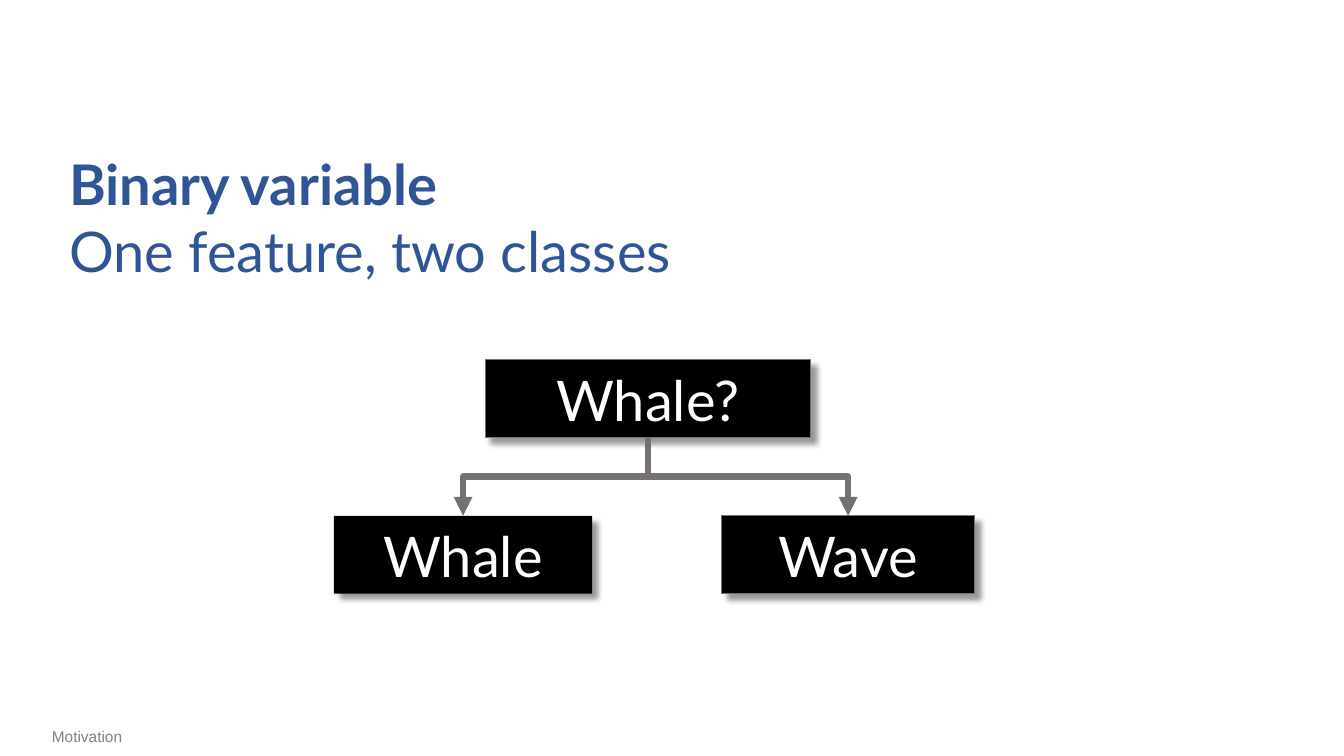
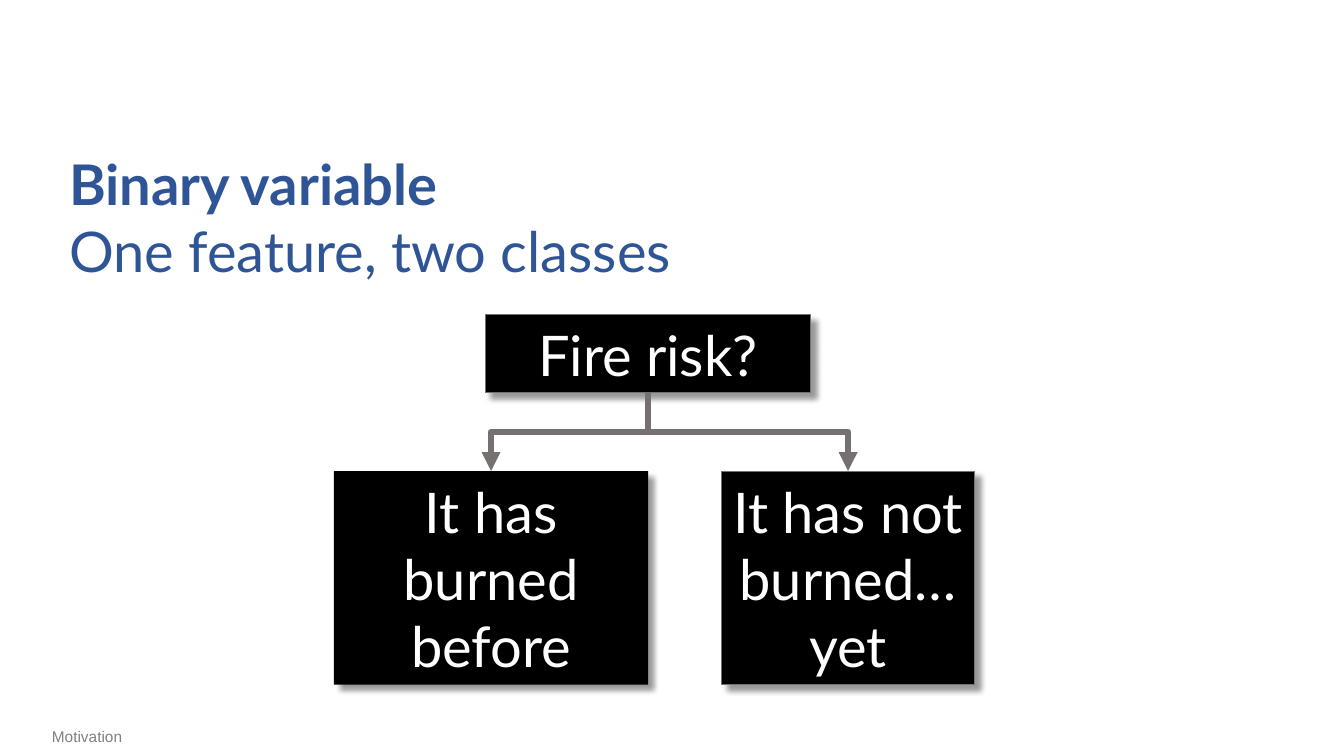
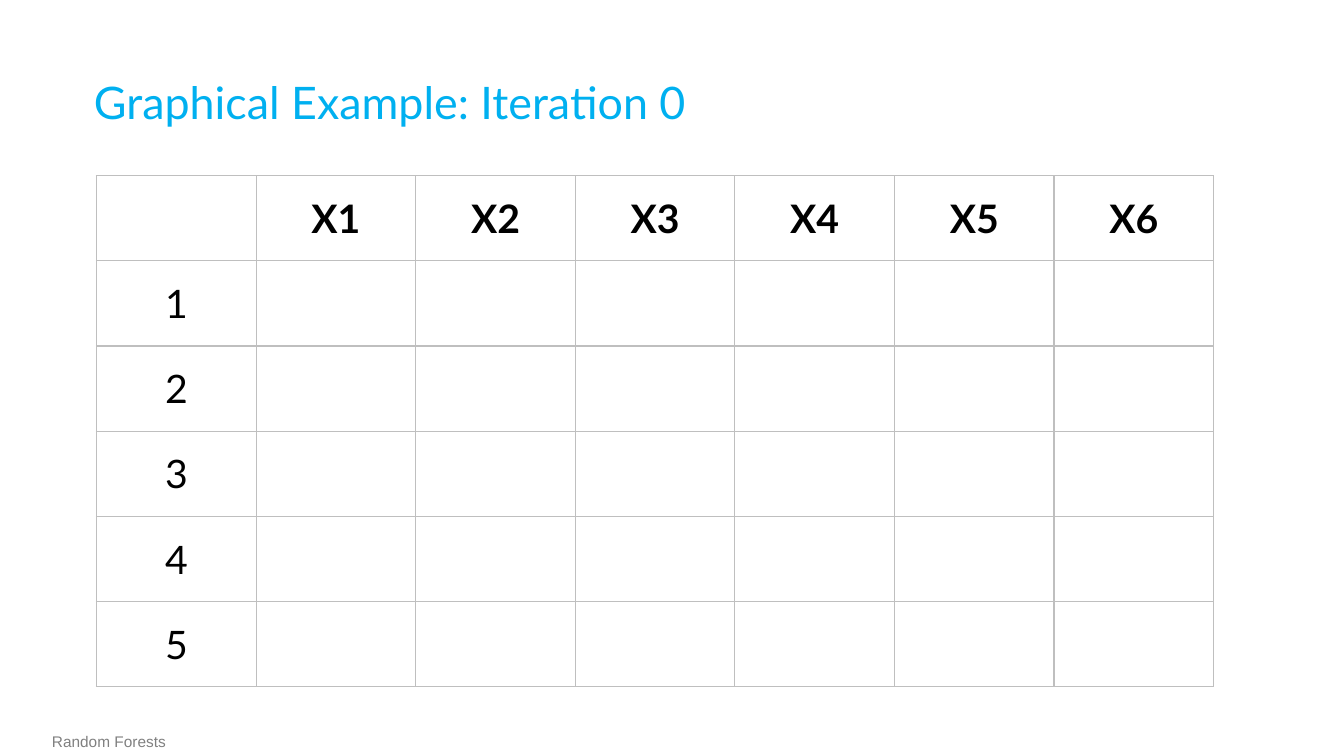
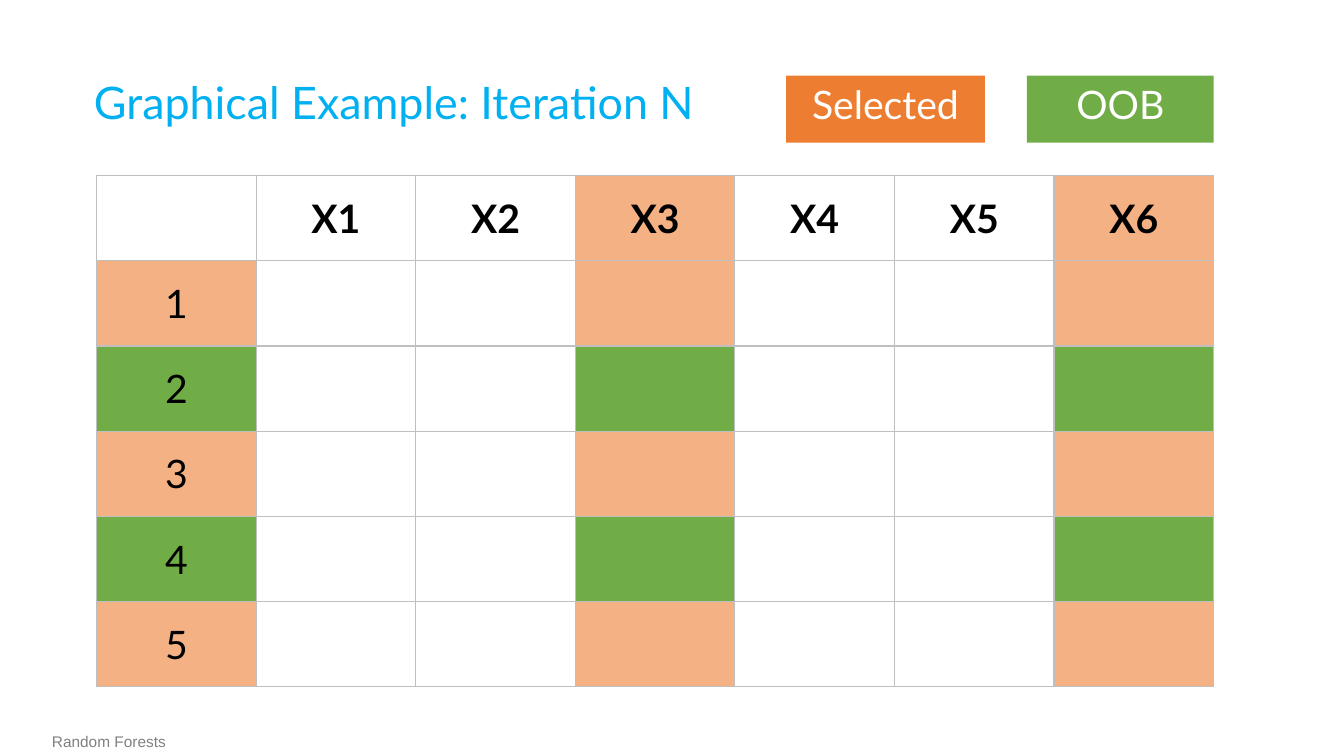
import lxml.etree
import pptx
import pptx.dml.color
import pptx.enum.dml
import pptx.enum.shapes
import pptx.enum.text
import pptx.oxml.ns
import pptx.util

Pt = pptx.util.Pt
qn = pptx.oxml.ns.qn
SubElement = lxml.etree.SubElement
RECTANGLE = pptx.enum.shapes.MSO_SHAPE.RECTANGLE
ELBOW = pptx.enum.shapes.MSO_CONNECTOR.ELBOW
LEFT = pptx.enum.text.PP_ALIGN.LEFT
CENTER = pptx.enum.text.PP_ALIGN.CENTER
MIDDLE = pptx.enum.text.MSO_ANCHOR.MIDDLE
TOP = pptx.enum.text.MSO_ANCHOR.TOP

BLACK = "000000"
WHITE = "FFFFFF"
GRAY = "767171"
FOOTER_GRAY = "808080"
GRID_GRAY = "BFBFBF"
NAVY = "2F5597"
SKY = "00B0F0"
ORANGE = "ED7D31"
PEACH = "F4B183"
GREEN = "70AD47"


def color(value):
    return pptx.dml.color.RGBColor.from_string(value)


def write(frame, text, size, ink, align=LEFT, font="Lato", bold_first=False):
    frame.word_wrap = True
    frame.text = text
    for index, paragraph in enumerate(frame.paragraphs):
        paragraph.alignment = align
        for span in paragraph.runs:
            span.font.name = font
            span.font.size = Pt(size)
            span.font.bold = bold_first and index == 0
            span.font.color.rgb = color(ink)


deck = pptx.Presentation()
deck.slide_width = Pt(960)
deck.slide_height = Pt(540)
blank = deck.slide_layouts[6]

pages = []
for footer, footer_top in [("Motivation", 516), ("Motivation", 516),
                           ("Random Forests", 519.5), ("Random Forests", 519.5)]:
    page = deck.slides.add_slide(blank)
    box = page.shapes.add_textbox(Pt(30), Pt(footer_top), Pt(163.5), Pt(20.5))
    write(box.text_frame, footer, 11, FOOTER_GRAY, font="Arial")
    pages.append(page)

root_height = 55.5
drop = 56
trees = [
    (257, "Whale?", 55.5, "Whale", 184.5, "Wave"),
    (225, "Fire risk?", 152.5, "It has burned before", 224.5, "It has not burned…yet"),
]
for page, tree in zip(pages[:2], trees):
    root_top, question, leaf_height, yes, yes_width, no = tree
    leaf_top = root_top + root_height + drop
    nodes = []
    for text, left, top, width, height, outlined in [
        (yes, 238.5, leaf_top, yes_width, leaf_height, False),
        (no, 515.5, leaf_top, 180.5, leaf_height, True),
        (question, 346.5, root_top, 232.5, root_height, True),
    ]:
        node = page.shapes.add_shape(RECTANGLE, Pt(left), Pt(top), Pt(width), Pt(height))
        node.fill.solid()
        node.fill.fore_color.rgb = color(BLACK)
        if outlined:
            node.line.color.rgb = color(GRAY)
            node.line.width = Pt(0.75)
        else:
            node.line.fill.background()
        node.shadow.inherit = False
        effects = node.element.spPr.find(qn("a:effectLst"))
        shadow = SubElement(effects, qn("a:outerShdw"), blurRad=str(Pt(4)), dist=str(Pt(6)),
                            dir="2700000", algn="tl", rotWithShape="0")
        shade = SubElement(shadow, qn("a:srgbClr"), val=BLACK)
        SubElement(shade, qn("a:alpha"), val="40000")
        write(node.text_frame, text, 40, WHITE, CENTER)
        nodes.append(node)

    root = nodes[2]
    start = root.left + root.width // 2
    for leaf in nodes[:2]:
        end = leaf.left + leaf.width // 2
        span_width = abs(end - start)
        arrow = page.shapes.add_connector(ELBOW, 0, 0, 0, 0)
        arrow.begin_connect(root, 2)
        arrow.end_connect(leaf, 0)
        arrow.width = Pt(drop)
        arrow.height = span_width
        arrow.left = (start + end - Pt(drop)) // 2
        arrow.top = Pt(root_top + root_height) + (Pt(drop) - span_width) // 2
        turn = arrow.element.spPr.find(qn("a:xfrm"))
        turn.set("rot", "5400000" if end < start else "16200000")
        turn.set("flipH", "0" if end < start else "1")
        arrow.line.color.rgb = color(GRAY)
        arrow.line.width = Pt(4.5)
        SubElement(arrow.element.spPr.find(qn("a:ln")), qn("a:tailEnd"), type="triangle")
        SubElement(arrow.element.spPr, qn("a:effectLst"))

    title = page.shapes.add_textbox(Pt(42.5), Pt(103), Pt(590.5), Pt(104.5))
    write(title.text_frame, "Binary variable\nOne feature, two classes", 40, NAVY, bold_first=True)

row_count, column_count = 6, 7
column_width, row_height = 114, 60.84
selected_columns = (3, 6)
oob_rows = (2, 4)
for page, iteration in zip(pages[2:], "0N"):
    title = page.shapes.add_textbox(Pt(60), Pt(49.5), Pt(807), Pt(46))
    write(title.text_frame, f"Graphical Example: Iteration {iteration}", 32, SKY)

    grid = page.shapes.add_table(row_count, column_count, Pt(69), Pt(125.5),
                                 Pt(column_count * column_width),
                                 Pt(row_count * row_height)).table
    grid.first_row = False
    grid.horz_banding = False
    for column in grid.columns:
        column.width = Pt(column_width)
    for row in grid.rows:
        row.height = Pt(row_height)
    for row in range(row_count):
        for column in range(column_count):
            cell = grid.cell(row, column)
            cell.vertical_anchor = MIDDLE
            if row == 0 and column > 0:
                write(cell.text_frame, f"X{column}", 28, BLACK, CENTER, bold_first=True)
            elif column == 0 and row > 0:
                write(cell.text_frame, str(row), 28, BLACK, CENTER)
            borders = cell._tc.get_or_add_tcPr()
            for side in ("a:lnL", "a:lnR", "a:lnT", "a:lnB"):
                edge = SubElement(borders, qn(side), w=str(Pt(1)))
                SubElement(SubElement(edge, qn("a:solidFill")), qn("a:srgbClr"), val=GRID_GRAY)
            marked = column in selected_columns or (column == 0 and row > 0)
            if iteration == "N" and marked:
                cell.fill.solid()
                cell.fill.fore_color.rgb = color(GREEN if row in oob_rows else PEACH)
            else:
                cell.fill.background()

for label, left, width, fill in [("Selected", 561.5, 142, ORANGE), ("OOB", 733.5, 133.5, GREEN)]:
    key = pages[3].shapes.add_shape(RECTANGLE, Pt(left), Pt(54), Pt(width), Pt(48))
    key.shadow.inherit = False
    key.fill.solid()
    key.fill.fore_color.rgb = color(fill)
    key.line.fill.background()
    key.text_frame.vertical_anchor = TOP
    write(key.text_frame, label, 28, WHITE, CENTER)

deck.save("out.pptx")
